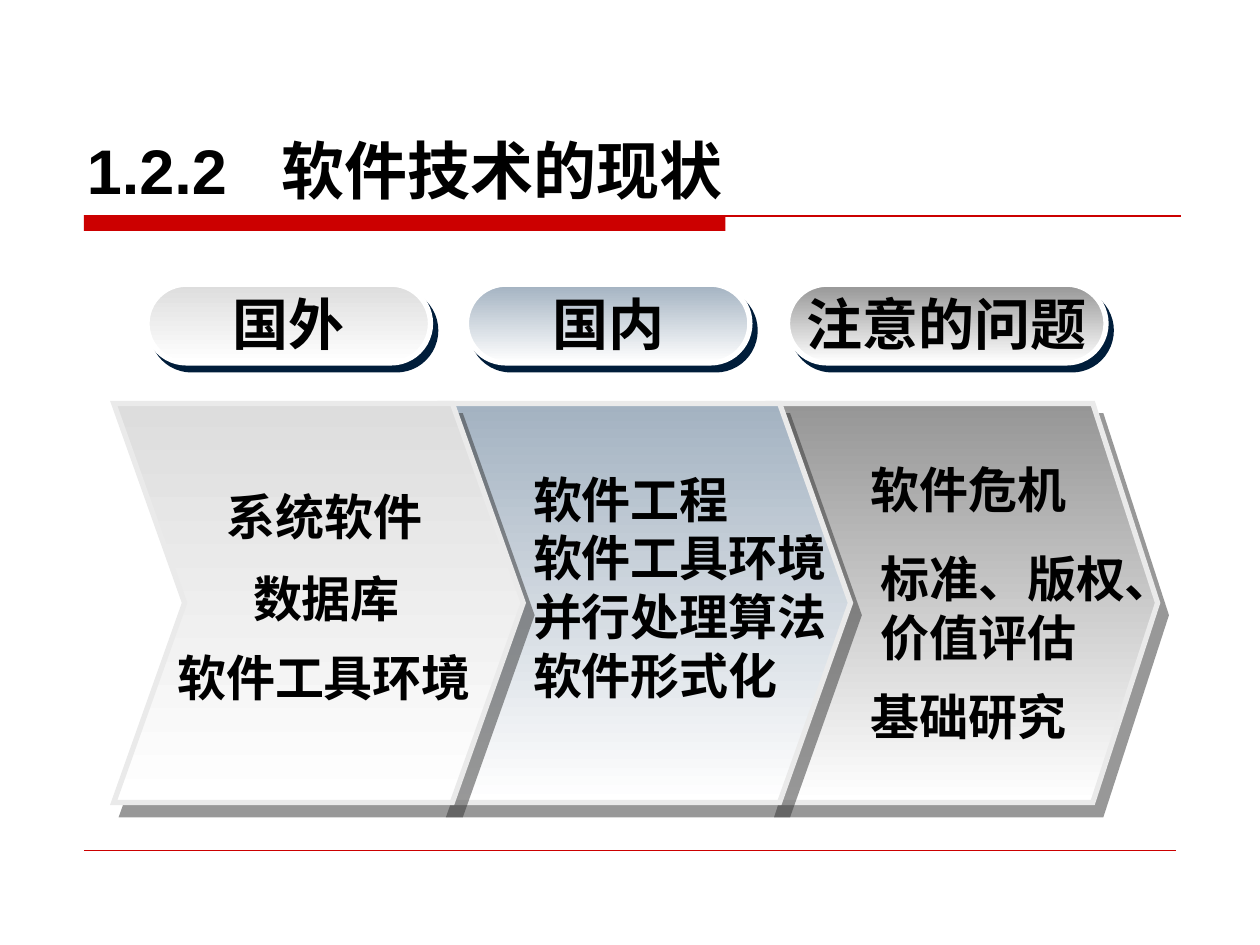
import dataclasses
import typing

import lxml.etree
import pptx
import pptx.dml.color
import pptx.enum.shapes
import pptx.enum.text
import pptx.oxml.ns
import pptx.util

Pt = pptx.util.Pt
qn = pptx.oxml.ns.qn
Anchor = pptx.enum.text.MSO_ANCHOR
Align = pptx.enum.text.PP_ALIGN

RED = "CC0000"
BLACK = "000000"
CHEVRON_TOP, CHEVRON_HEIGHT = 230.5, 228
PILL_TOP, PILL_HEIGHT = 162.4, 45


@dataclasses.dataclass
class Column:
    heading: str
    colour: str
    pill_left: float
    pill_width: float
    chevron_left: float
    chevron_width: float
    tip: float


@dataclasses.dataclass
class Note:
    lines: list[str]
    left: float
    top: float
    width: float
    height: float


COLUMNS = [
    Column("国外", "DDDDDD", 84, 162, 65, 234, 40.5),
    Column("国内", "A3B2C1", 266.5, 162, 252, 234, 40.5),
    Column("注意的问题", "969696", 450, 182, 439.5, 222, 37),
]

NOTES = [
    Note(["系统软件"], 122.5, 274.5, 132, 41),
    Note(["数据库"], 137.5, 321.3, 104, 41),
    Note(["软件工具环境"], 94.2, 366.5, 188, 41),
    Note(["软件工程", "软件工具环境", "并行处理算法", "软件形式化"], 297.5, 264.5, 187, 142),
    Note(["软件危机"], 490.5, 258.8, 153, 41),
    Note(["标准、版权、", "价值评估"], 496, 309.8, 224, 75),
    Note(["基础研究"], 490.5, 388.8, 153, 41),
]


def rgb(colour: str) -> pptx.dml.color.RGBColor:
    return pptx.dml.color.RGBColor.from_string(colour)


def add_span(para, text: str, *, size: float, font: str = "Arial",
             colour: str = BLACK, bold: bool = True) -> None:
    span = para.add_run()
    span.text = text
    span.font.name = font
    span.font.size = Pt(size)
    span.font.bold = bold
    span.font.color.rgb = rgb(colour)


def write_lines(frame, lines: list[str], *, size: float, wrap: bool,
                anchor=Anchor.TOP, align=Align.LEFT) -> None:
    frame.word_wrap = wrap
    frame.vertical_anchor = anchor
    for index, line in enumerate(lines):
        para = frame.add_paragraph() if index else frame.paragraphs[0]
        para.alignment = align
        add_span(para, line, size=size)


def add_shadow(shape, colour: str, opacity: int, distance: float, angle: int) -> None:
    shape.shadow.inherit = False
    effects = shape._element.spPr.find(qn("a:effectLst"))
    shadow = lxml.etree.SubElement(
        effects, qn("a:outerShdw"), blurRad="0", dist=str(Pt(distance)),
        dir=str(angle * 60000), algn="ctr", rotWithShape="0")
    tint = lxml.etree.SubElement(shadow, qn("a:srgbClr"), val=colour)
    lxml.etree.SubElement(tint, qn("a:alpha"), val=str(opacity * 1000))


def fade_to_white(shape, colour: str, outline: str) -> None:
    shape.fill.gradient()
    shape.fill.gradient_angle = 270
    for stop, stop_colour, position in zip(
            shape.fill.gradient_stops, (colour, "FFFFFF"), (0, 1)):
        stop.color.rgb = rgb(stop_colour)
        stop.position = position
    shape.line.color.rgb = rgb(outline)
    shape.line.width = Pt(3)
    # Sharp corners on the outline
    line = shape._element.spPr.find(qn("a:ln"))
    lxml.etree.SubElement(line, qn("a:miter"), lim="800000")


def add_rule(page, left: float, right: float, top: float, width: float) -> None:
    rule = page.shapes.add_connector(
        pptx.enum.shapes.MSO_CONNECTOR.STRAIGHT, Pt(left), Pt(top), Pt(right), Pt(top))
    rule.line.color.rgb = rgb(RED)
    rule.line.width = Pt(width)
    lxml.etree.SubElement(rule._element.spPr, qn("a:effectLst"))


def add_chevron(page, column: Column) -> None:
    left, right = column.chevron_left, column.chevron_left + column.chevron_width
    top, bottom = CHEVRON_TOP, CHEVRON_TOP + CHEVRON_HEIGHT
    middle = (top + bottom) / 2
    shoulder = right - column.tip
    outline = page.shapes.build_freeform(Pt(left), Pt(top))
    corners: list[typing.Tuple[float, float]] = [
        (shoulder, top), (right, middle), (shoulder, bottom),
        (left, bottom), (left + column.tip, middle)]
    outline.add_line_segments([(Pt(x), Pt(y)) for x, y in corners], close=True)
    chevron = outline.convert_to_shape()
    fade_to_white(chevron, column.colour, "EAEAEA")
    add_shadow(chevron, "333333", 50, 8.6, 55)


def add_pill(page, column: Column) -> None:
    pill = page.shapes.add_shape(
        pptx.enum.shapes.MSO_SHAPE.ROUNDED_RECTANGLE,
        Pt(column.pill_left), Pt(PILL_TOP), Pt(column.pill_width), Pt(PILL_HEIGHT))
    pill.adjustments[0] = 0.5
    fade_to_white(pill, column.colour, "FFFFFF")
    add_shadow(pill, "001D3A", 100, 5, 53)
    write_lines(pill.text_frame, [column.heading], size=32, wrap=False,
                anchor=Anchor.MIDDLE, align=Align.CENTER)


def add_note(page, note: Note) -> None:
    box = page.shapes.add_textbox(
        Pt(note.left), Pt(note.top), Pt(note.width), Pt(note.height))
    box.text_frame.auto_size = pptx.enum.text.MSO_AUTO_SIZE.SHAPE_TO_FIT_TEXT
    write_lines(box.text_frame, note.lines, size=28, wrap=True)


def add_title(page) -> None:
    title = page.shapes.title
    title.left, title.top, title.width, title.height = Pt(42.5), Pt(26), Pt(630), Pt(96)
    title.text_frame.vertical_anchor = Anchor.BOTTOM
    title.text_frame.auto_size = pptx.enum.text.MSO_AUTO_SIZE.NONE
    para = title.text_frame.paragraphs[0]
    para.alignment = Align.LEFT
    # Tab stop between the section number and its name
    tabs = lxml.etree.SubElement(para._p.get_or_add_pPr(), qn("a:tabLst"))
    lxml.etree.SubElement(tabs, qn("a:tab"), pos=str(Pt(111)), algn="l")
    add_span(para, "1.2.2\t", size=36)
    add_span(para, "软件技术的现状", size=36, font="DejaVu Sans")


def main() -> None:
    deck = pptx.Presentation()
    deck.slide_width, deck.slide_height = Pt(720), Pt(540)
    page = deck.slides.add_slide(deck.slide_layouts[5])

    # Title with its red bar, and the footer rule
    add_title(page)
    bar = page.shapes.add_shape(
        pptx.enum.shapes.MSO_SHAPE.RECTANGLE, Pt(48), Pt(123), Pt(366.5), Pt(9))
    bar.shadow.inherit = False
    bar.fill.solid()
    bar.fill.fore_color.rgb = rgb(RED)
    bar.line.fill.background()
    add_rule(page, 48, 675, 123.4, 1)
    add_rule(page, 48, 672, 486, 0.25)

    # Chevrons from right to left, so each overlaps the next
    for column in reversed(COLUMNS):
        add_chevron(page, column)

    # Headings and notes
    for column in COLUMNS:
        add_pill(page, column)
    for note in NOTES:
        add_note(page, note)

    deck.save("out.pptx")


if __name__ == "__main__":
    main()
